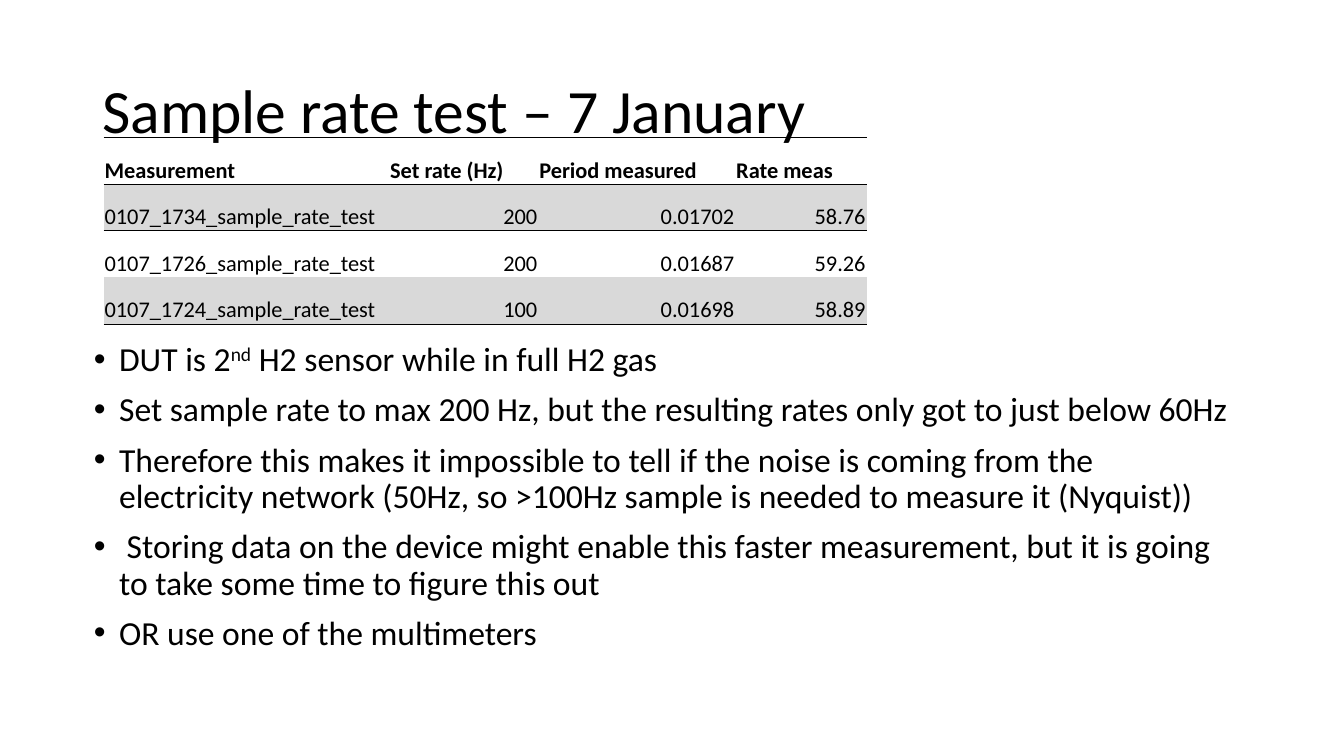
"""Build the sample rate test slide."""
from dataclasses import dataclass

from lxml import etree
from pptx import Presentation
from pptx import util as u
from pptx.dml import color
from pptx.enum import text as t
from pptx.oxml import ns

COLOURS = {"ink": "000000", "band": "D9D9D9"}
NO_GRID_STYLE = "{2D5ABB26-0587-4C30-8999-92F81FD0307C}"
PARAGRAPH = {"line_spacing": 0.9}
BULLET = {**PARAGRAPH, "space_before": u.Pt(10)}
CELL = {
    "vertical_anchor": t.MSO_ANCHOR.BOTTOM,
    "margin_left": u.Pt(0.72),
    "margin_right": u.Pt(0.72),
    "margin_top": u.Pt(0.72),
    "margin_bottom": u.Pt(0),
}
PLAIN_TABLE = {"first_row": False, "horz_banding": False}


@dataclass
class Run:
    text: str
    size: float
    bold: bool = False
    baseline: int = 0


@dataclass
class Box:
    left: float
    top: float
    width: float
    height: float

    def lengths(self) -> list:
        return [u.Pt(v) for v in (self.left, self.top, self.width, self.height)]


@dataclass
class Measurement:
    name: str
    set_rate: str
    period: str
    rate: str

    def values(self) -> list:
        return [self.name, self.set_rate, self.period, self.rate]


HEADER = Measurement("Measurement", "Set rate (Hz)", "Period measured", "Rate meas")
MEASUREMENTS = [
    Measurement("0107_1734_sample_rate_test", "200", "0.01702", "58.76"),
    Measurement("0107_1726_sample_rate_test", "200", "0.01687", "59.26"),
    Measurement("0107_1724_sample_rate_test", "100", "0.01698", "58.89"),
]
COLUMN_WIDTHS = [204, 106.5, 140.7, 93.8]
ROW_HEIGHT = 33.3
FINDINGS = [
    [Run("DUT is 2", 24), Run("nd", 24, baseline=30000),
     Run(" H2 sensor while in full H2 gas", 24)],
    [Run("Set sample rate to max 200 Hz, but the resulting rates only got to "
         "just below 60Hz", 24)],
    [Run("Therefore this makes it impossible to tell if the noise is coming from "
         "the electricity network (50Hz, so >100Hz sample is needed to measure it "
         "(Nyquist))", 24)],
    [Run(" Storing data on the device might enable this faster measurement, but "
         "it is going to take some time to figure this out", 24)],
    [Run("OR use one of the multimeters", 24)],
]


def apply(target, values: dict) -> None:
    """Set each named attribute on the target."""
    for name, value in values.items():
        setattr(target, name, value)


def add_run(p, run: Run) -> None:
    """Append a formatted run to a paragraph."""
    r = p.add_run()
    r.text = run.text
    apply(r.font, {"name": "Calibri", "size": u.Pt(run.size), "bold": run.bold})
    r.font.color.rgb = color.RGBColor.from_string(COLOURS["ink"])
    if run.baseline:
        r.font._element.set("baseline", str(run.baseline))


def add_text(s, box: Box, paragraphs: list, anchor, layout: dict,
             bulleted: bool = False) -> None:
    """Add a wrapped text box."""
    tf = s.shapes.add_textbox(*box.lengths()).text_frame
    apply(tf, {"word_wrap": True, "vertical_anchor": anchor})
    for i, runs in enumerate(paragraphs):
        p = tf.add_paragraph() if i else tf.paragraphs[0]
        apply(p, layout)
        if bulleted:
            pPr = p._p.get_or_add_pPr()
            pPr.set("marL", str(u.Pt(18)))
            pPr.set("indent", str(u.Pt(-18)))
            etree.SubElement(pPr, ns.qn("a:buFont")).set("typeface", "Arial")
            etree.SubElement(pPr, ns.qn("a:buChar")).set("char", "•")
        for run in runs:
            add_run(p, run)


def add_border(cell, side: str) -> None:
    """Draw a thin rule along one side of a cell."""
    line = etree.SubElement(cell._tc.get_or_add_tcPr(), ns.qn(f"a:ln{side}"))
    line.set("w", str(u.Pt(0.5)))
    fill = etree.SubElement(line, ns.qn("a:solidFill"))
    etree.SubElement(fill, ns.qn("a:srgbClr")).set("val", COLOURS["ink"])


def fill_cell(cell, value: str, header: bool, number: bool, band: bool,
              borders: str) -> None:
    """Write and style one table cell."""
    apply(cell, CELL)
    for side in borders:
        add_border(cell, side)
    if band:
        cell.fill.solid()
        cell.fill.fore_color.rgb = color.RGBColor.from_string(COLOURS["band"])
    else:
        cell.fill.background()
    p = cell.text_frame.paragraphs[0]
    p.alignment = t.PP_ALIGN.RIGHT if number else t.PP_ALIGN.LEFT
    add_run(p, Run(value, 16, bold=header))


def add_measurements(s, left: float, top: float) -> None:
    """Add the table below an empty spacer row."""
    rows = [HEADER, *MEASUREMENTS]
    count = len(rows) + 1
    box = Box(left, top, sum(COLUMN_WIDTHS), count * ROW_HEIGHT)
    table = s.shapes.add_table(count, len(COLUMN_WIDTHS), *box.lengths()).table
    apply(table, PLAIN_TABLE)
    table._tbl.tblPr.find(ns.qn("a:tableStyleId")).text = NO_GRID_STYLE
    for column, width in zip(table.columns, COLUMN_WIDTHS):
        column.width = u.Pt(width)
    for row in table.rows:
        row.height = u.Pt(ROW_HEIGHT)
    table.cell(0, 1).merge(table.cell(0, 2))
    for cell in table.rows[0].cells:
        cell.fill.background()
    for i, row in enumerate(rows):
        borders = {0: "TB", 1: "T", len(rows) - 1: "B"}.get(i, "")
        for j, value in enumerate(row.values()):
            fill_cell(table.cell(i + 1, j), value, i == 0, i > 0 and j > 0,
                      i % 2 == 1, borders)


def main() -> None:
    """Create and save the presentation."""
    prs = Presentation()
    apply(prs, {"slide_width": u.Pt(960), "slide_height": u.Pt(540)})
    s = prs.slides.add_slide(prs.slide_layouts[6])
    add_text(s, Box(66, 28.75, 828, 104.4), [[Run("Sample rate test – 7 January", 44)]],
             t.MSO_ANCHOR.MIDDLE, PARAGRAPH)
    add_text(s, Box(60, 241.2, 828, 342.6), FINDINGS, t.MSO_ANCHOR.TOP, BULLET,
             bulleted=True)
    add_measurements(s, 74, 65)
    prs.save("out.pptx")


main()
